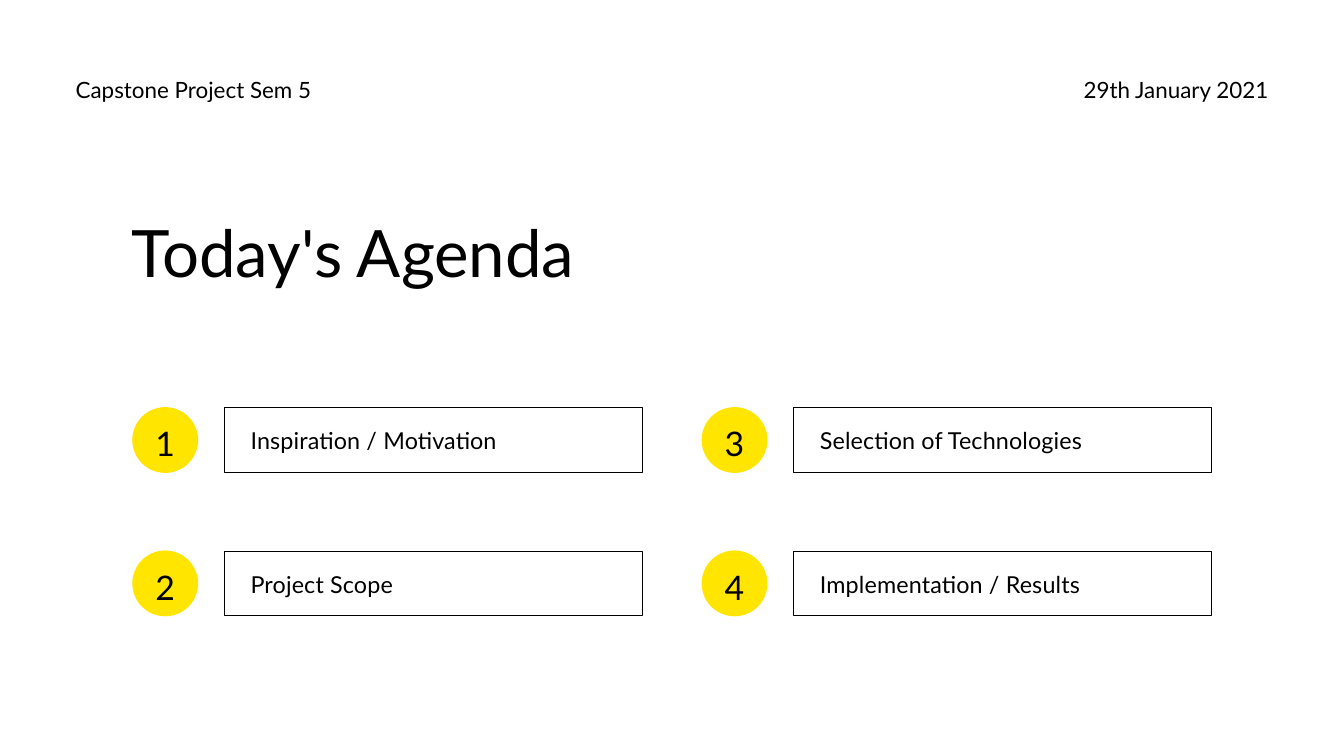
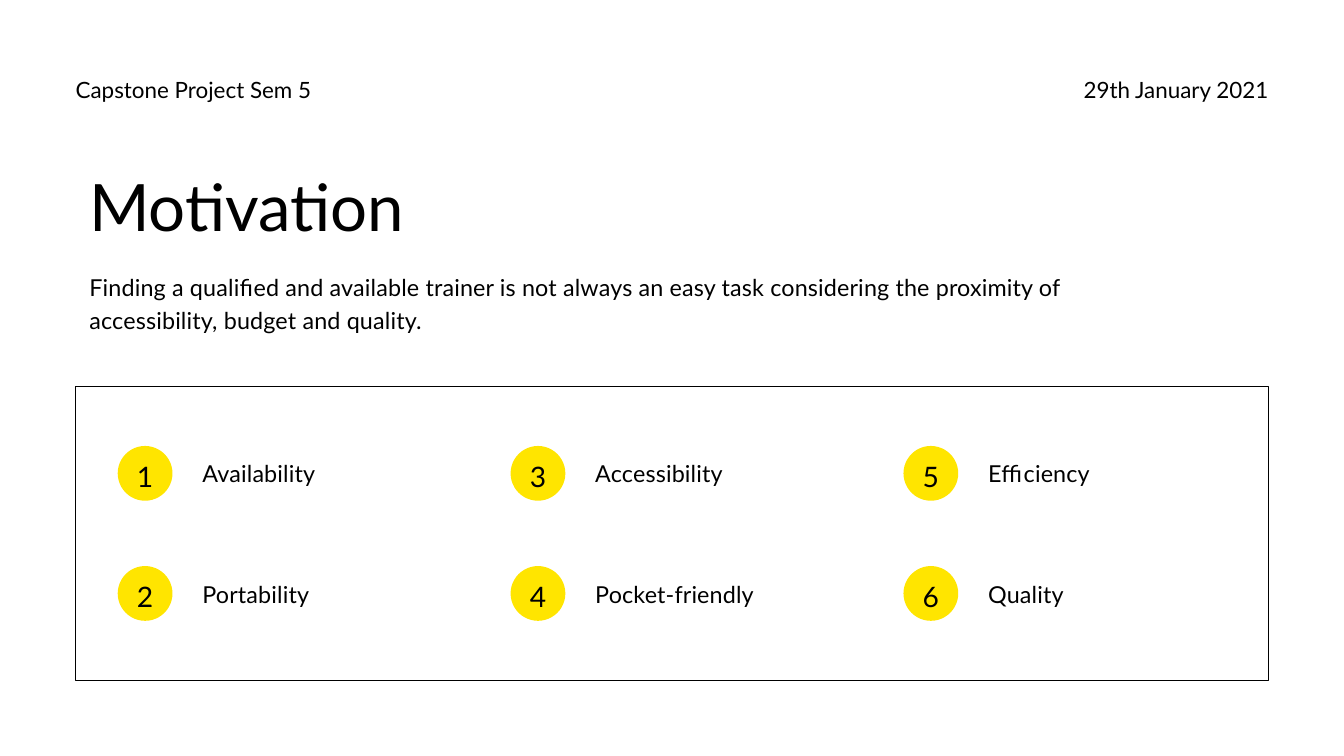
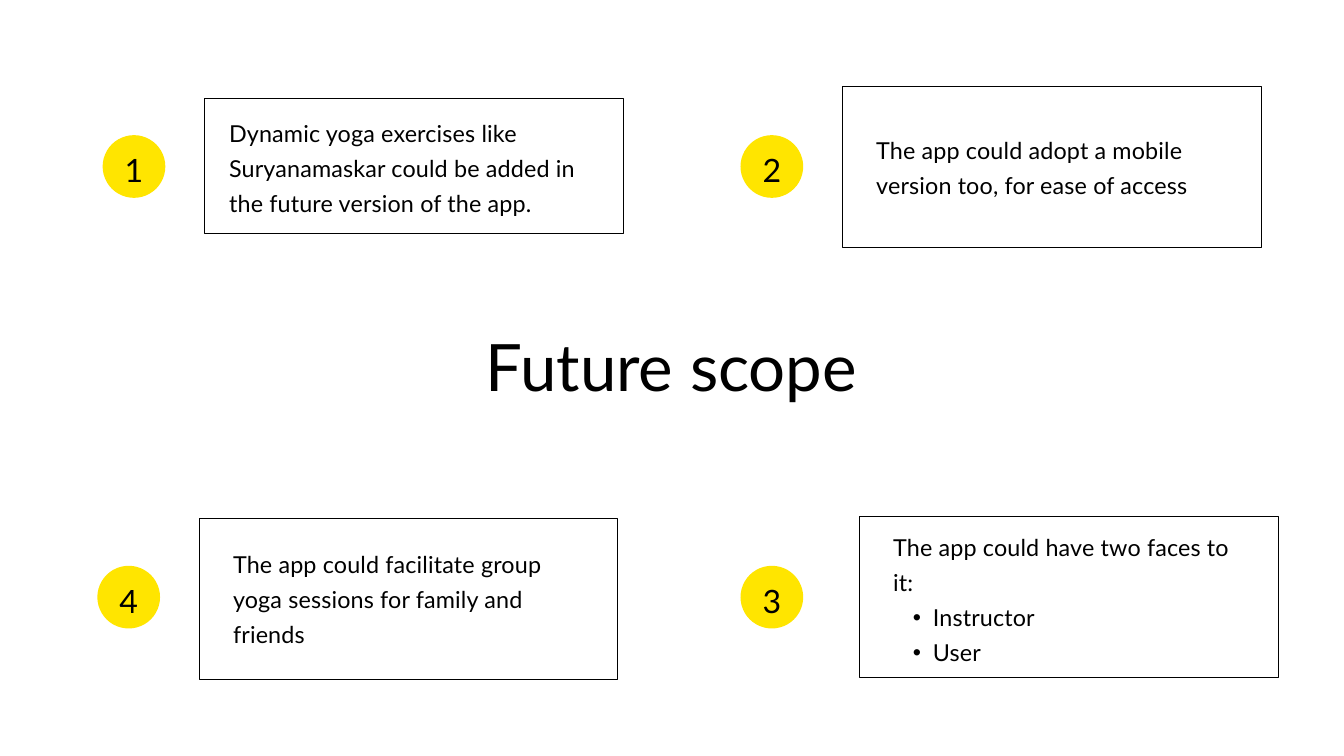
import pptx
import pptx.util
import pptx.dml.color
import pptx.enum.shapes
import pptx.enum.text
import pptx.oxml

Cm = pptx.util.Cm
Pt = pptx.util.Pt
ALIGN = pptx.enum.text.PP_ALIGN
SHAPES = pptx.enum.shapes.MSO_SHAPE

BLACK = pptx.dml.color.RGBColor(0x00, 0x00, 0x00)
YELLOW = pptx.dml.color.RGBColor(0xFF, 0xE5, 0x00)
FONT = "Lato"
BULLET_NS = 'xmlns:a="http://schemas.openxmlformats.org/drawingml/2006/main"'

SLIDE_WIDTH, SLIDE_HEIGHT = 50.8, 28.58
MARGIN = 2.86
HEADER_WIDTH, HEADER_HEIGHT = 10.92, 1.02
CARD_WIDTH = 15.83
LABEL_HEIGHT = 1.22
LINE_HEIGHT = 1.3
TITLE_ONLY, TITLE_AND_BODY = 5, 1

COURSE = "Capstone Project Sem 5"
DATE = "29th January 2021"

AGENDA_TITLE = "Today's Agenda"
AGENDA = [
    "Inspiration / Motivation",
    "Project Scope",
    "Selection of Technologies",
    "Implementation / Results",
]

MOTIVATION_TITLE = "Motivation"
MOTIVATION_INTRO = (
    "Finding a qualified and available trainer is not always an easy task "
    "considering the proximity of accessibility, budget and quality."
)
BENEFITS = [
    "Availability",
    "Portability",
    "Accessibility",
    "Pocket-friendly",
    "Efficiency",
    "Quality",
]

SCOPE_TITLE = "Future scope"
SCOPE = [
    {
        "idea": "Dynamic yoga exercises like Suryanamaskar could be added in "
                "the future version of the app.",
        "badge": (3.88, 5.11), "card": (7.72, 3.73, 5.11),
        "words": (8.66, 4.24), "lines": 3,
    },
    {
        "idea": "The app could adopt a mobile version too, for ease of access",
        "badge": (27.99, 5.11), "card": (31.85, 3.25, 6.1),
        "words": (33.12, 4.9), "lines": 2,
    },
    {
        "idea": "The app could have two faces to it:",
        "faces": ["Instructor", "User"],
        "badge": (27.99, 21.39), "card": (32.49, 19.53, 6.1),
        "words": (33.76, 19.89), "lines": 4,
    },
    {
        "idea": "The app could facilitate group yoga sessions for family and friends",
        "badge": (3.68, 21.39), "card": (7.52, 19.6, 6.1),
        "words": (8.81, 20.52), "lines": 3,
    },
]


def write(frame, text, size, leading, tracking=0, align=ALIGN.LEFT):
    frame.margin_left = frame.margin_right = 0
    frame.margin_top = frame.margin_bottom = 0
    frame.word_wrap = True
    frame.auto_size = pptx.enum.text.MSO_AUTO_SIZE.NONE
    frame.vertical_anchor = pptx.enum.text.MSO_ANCHOR.TOP
    frame.text = text
    for paragraph in frame.paragraphs:
        paragraph.alignment = align
        paragraph.line_spacing = Pt(leading)
        paragraph.space_before = Pt(0)
        for run in paragraph.runs:
            run.font.name = FONT
            run.font.size = Pt(size)
            run.font.color.rgb = BLACK
            run._r.get_or_add_rPr().set("spc", str(round(tracking * 100)))


def place(placeholder, left, top, width, height):
    placeholder.left, placeholder.top = Cm(left), Cm(top)
    placeholder.width, placeholder.height = Cm(width), Cm(height)


def add_words(slide, text, box, size=25, leading=35, tracking=0.2, align=ALIGN.LEFT):
    words = slide.shapes.add_textbox(*map(Cm, box))
    write(words.text_frame, text, size, leading, tracking, align)


def set_bullet(paragraph, mark, left=0, indent=0):
    properties = paragraph._p.get_or_add_pPr()
    properties.set("marL", str(Cm(left)))
    properties.set("indent", str(Cm(indent)))
    kind = f'buChar {BULLET_NS} char="{mark}"' if mark else f"buNone {BULLET_NS}"
    properties.append(pptx.oxml.parse_xml(f"<a:{kind}/>"))


def write_body(slide, text, box, leading, items=()):
    body = slide.placeholders[1]
    place(body, *box)
    write(body.text_frame, "\n".join([text, *items]), 25, leading, 0.2)
    lead, *points = body.text_frame.paragraphs
    set_bullet(lead, None)
    for point in points:
        point.level = 1
        set_bullet(point, "•", 1.5, -0.76)


def add_frame(slide, left, top, width, height):
    frame = slide.shapes.add_shape(SHAPES.RECTANGLE, *map(Cm, (left, top, width, height)))
    frame.shadow.inherit = False
    frame.fill.background()
    frame.line.color.rgb = BLACK
    frame.line.width = Pt(0.9)


def add_badge(slide, number, left, top, diameter, size):
    badge = slide.shapes.add_shape(SHAPES.OVAL, *map(Cm, (left, top, diameter, diameter)))
    badge.shadow.inherit = False
    badge.fill.solid()
    badge.fill.fore_color.rgb = YELLOW
    badge.line.fill.background()
    write(badge.text_frame, str(number), size, size * 1.4, align=ALIGN.CENTER)
    badge.text_frame.vertical_anchor = pptx.enum.text.MSO_ANCHOR.MIDDLE


def add_slide(deck, layout, title, title_box):
    slide = deck.slides.add_slide(deck.slide_layouts[layout])
    place(slide.shapes.title, *title_box)
    write(slide.shapes.title.text_frame, title, 70, 77)
    return slide


def add_header(slide):
    right = SLIDE_WIDTH - MARGIN - HEADER_WIDTH
    for text, left, align in [(COURSE, MARGIN, ALIGN.LEFT), (DATE, right, ALIGN.RIGHT)]:
        add_words(slide, text, (left, MARGIN, HEADER_WIDTH, HEADER_HEIGHT), 24, 28.8, 0, align)


def grid(items, left, top, column_step, row_step, rows=2):
    for index, item in enumerate(items):
        column, row = divmod(index, rows)
        yield index + 1, item, left + column * column_step, top + row * row_step


def build_agenda(deck):
    slide = add_slide(deck, TITLE_ONLY, AGENDA_TITLE, (4.98, 8.28, 24.03, 2.79))
    add_header(slide)
    diameter = 2.49
    for number, topic, left, top in grid(AGENDA, 5, 15.39, 21.52, 5.42):
        add_badge(slide, number, left, top, diameter, 36.2)
        add_frame(slide, left + 3.48, top + 0.02, CARD_WIDTH - 0.04, diameter - 0.04)
        add_words(slide, topic, (left + 4.47, top + 0.55, 13.74, LABEL_HEIGHT))


def build_motivation(deck):
    slide = add_slide(deck, TITLE_AND_BODY, MOTIVATION_TITLE, (3.38, 6.53, 36.32, 2.84))
    add_header(slide)
    write_body(slide, MOTIVATION_INTRO, (3.38, 10.16, 41.07, 2.44), 35)
    add_frame(slide, MARGIN, 14.61, SLIDE_WIDTH - 2 * MARGIN, 11.11)
    for number, benefit, left, top in grid(BENEFITS, 4.45, 16.86, 14.85, 4.54):
        add_badge(slide, number, left, top, 2.07, 30.2)
        add_words(slide, benefit, (left + 3.2, top + 0.34, 9, LABEL_HEIGHT))


def build_scope(deck):
    slide = add_slide(deck, TITLE_AND_BODY, SCOPE_TITLE, (18.36, 12.57, 19.25, 2.82))
    for number, entry in enumerate(SCOPE, 1):
        left, top, height = entry["card"]
        add_frame(slide, left, top, CARD_WIDTH, height)
        add_badge(slide, number, *entry["badge"], 2.37, 34.4)
        box = (*entry["words"], 13.26, entry["lines"] * LINE_HEIGHT)
        if "faces" in entry:
            write_body(slide, entry["idea"], box, 37.5, entry["faces"])
        else:
            add_words(slide, entry["idea"], box, leading=37.5)


def main():
    deck = pptx.Presentation()
    deck.slide_width, deck.slide_height = Cm(SLIDE_WIDTH), Cm(SLIDE_HEIGHT)
    build_agenda(deck)
    build_motivation(deck)
    build_scope(deck)
    deck.save("out.pptx")


if __name__ == "__main__":
    main()
